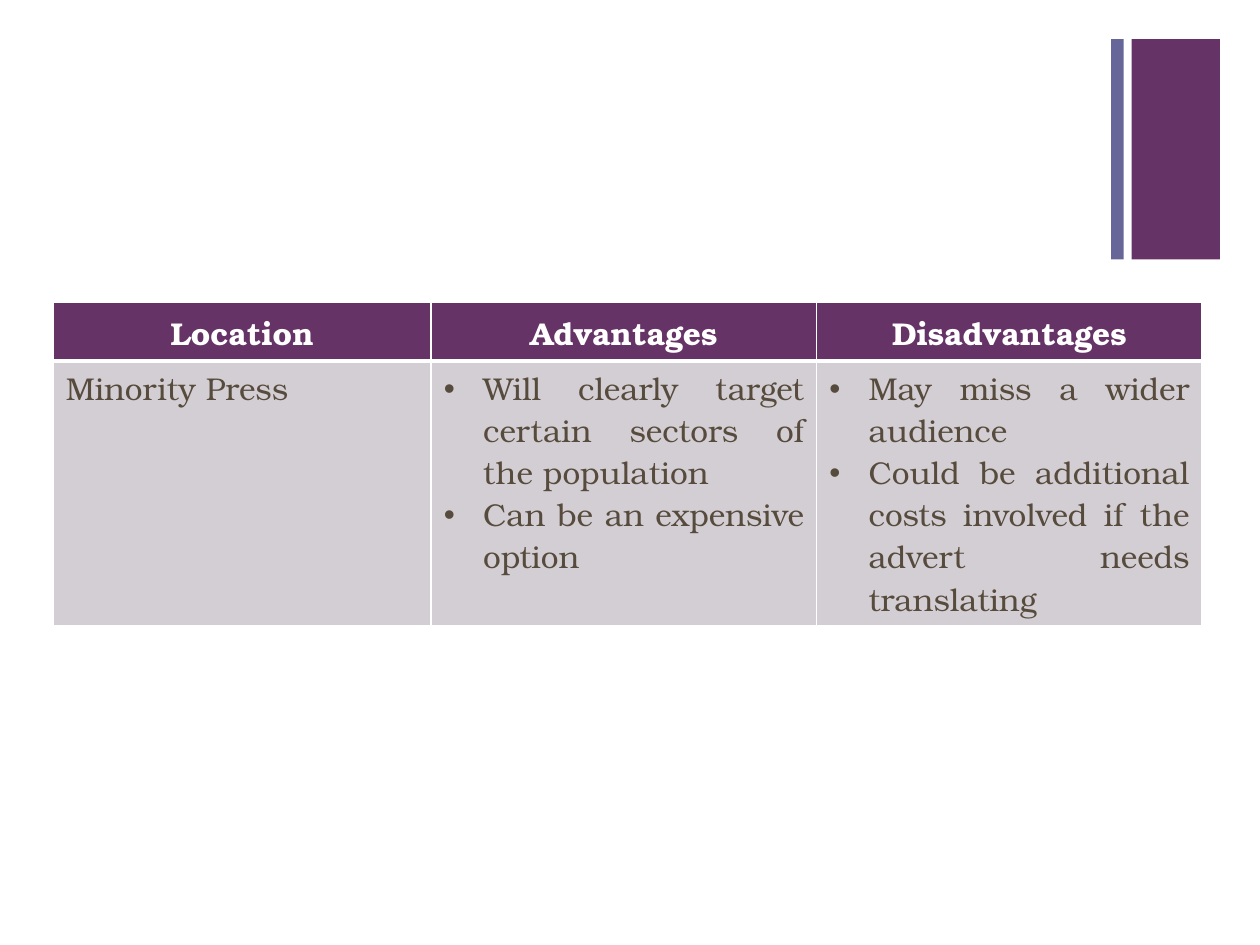
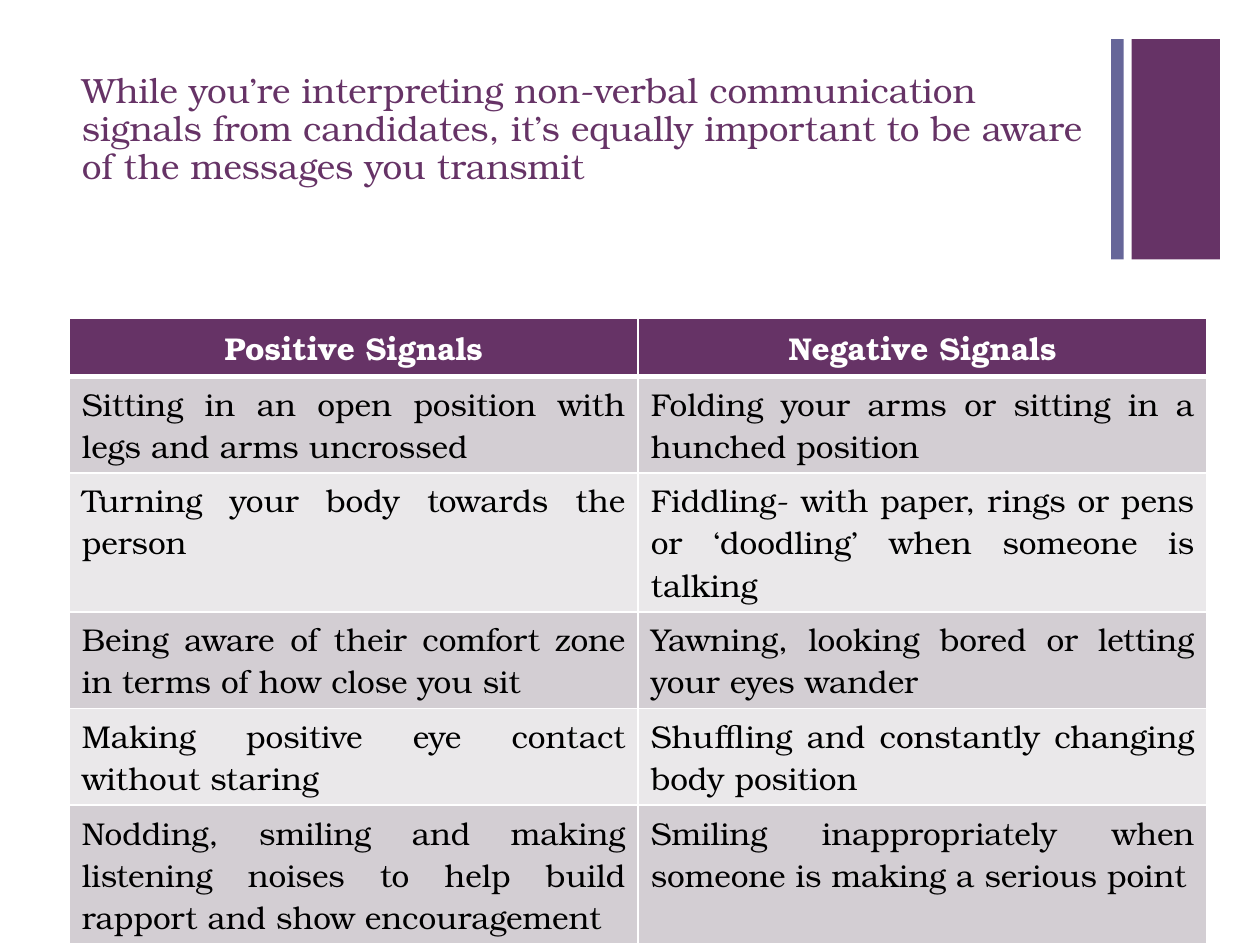
from dataclasses import dataclass

from lxml.etree import SubElement
from pptx import Presentation
from pptx.dml.color import RGBColor
from pptx.enum.shapes import MSO_SHAPE
from pptx.enum.text import MSO_ANCHOR, PP_ALIGN
from pptx.oxml.ns import qn
from pptx.util import Pt

TITLE_ONLY, BLANK = 5, 6


@dataclass(frozen=True)
class Theme:
    font: str = "TeX Gyre Bonum"
    purple: str = "663366"
    blue: str = "666699"
    white: str = "FFFFFF"
    black: str = "000000"
    brown: str = "564B3C"
    row_fills: tuple = ("D3CED3", "EAE8EA")
    title_size: int = 20
    table_size: int = 18
    row_height: float = 29.2
    bullet_indent: float = 22.5
    thin_rule: int = 1
    thick_rule: int = 3


@dataclass(frozen=True)
class Box:
    left: float
    top: float
    width: float
    height: float

    def lengths(self):
        return [Pt(value) for value in (self.left, self.top, self.width, self.height)]


THEME = Theme()
BAND_BOX = Box(634.9, 22.3, 62.2, 126)
TITLE_BOX = Box(39.6, 38.2, 594.7, 87.8)
PRESS_BOX = Box(30.4, 172.8, 656.6, 58.4)
SIGNALS_BOX = Box(39.6, 181.6, 650.2, 175.2)

PRESS_COLUMNS = (216, 220.3, 220.3)
PRESS_ROWS = [
    ("Location", "Advantages", "Disadvantages"),
    (
        "Minority Press",
        ["Will clearly target certain sectors of the population",
         "Can be an expensive option"],
        ["May miss a wider audience",
         "Could be additional costs involved if the advert needs translating"],
    ),
]

SIGNALS_TITLE = (
    "While you’re interpreting non-verbal communication signals from candidates, "
    "it’s equally important to be aware of the messages you transmit"
)
SIGNALS_ROWS = [
    ("Positive Signals", "Negative Signals"),
    ("Sitting in an open position with legs and arms uncrossed",
     "Folding your arms or sitting in a hunched position"),
    ("Turning your body towards the person",
     "Fiddling- with paper, rings or pens or ‘doodling’ when someone is talking"),
    ("Being aware of their comfort zone in terms of how close you sit",
     "Yawning, looking bored or letting your eyes wander"),
    ("Making positive eye contact without staring",
     "Shuffling and constantly changing body position"),
    ("Nodding, smiling and making listening noises to help build rapport and show encouragement",
     "Smiling inappropriately when someone is making a serious point"),
]


def style_font(font, size, color, bold=False):
    font.name = THEME.font
    font.size = Pt(size)
    font.bold = bold
    font.color.rgb = RGBColor.from_string(color)


def move_bands_to_master(deck, slide, box):
    """Draw the corner bands on a slide, then hand them to the master."""
    thick_width, thin_width = 50.4, 7.2
    bands = [
        (box.left + box.width - thick_width, thick_width, THEME.purple),
        (box.left, thin_width, THEME.blue),
    ]
    master_tree = deck.slide_master.shapes.element
    for number, (left, width, color) in enumerate(bands, start=20):
        band = slide.shapes.add_shape(
            MSO_SHAPE.RECTANGLE, *Box(left, box.top, width, box.height).lengths())
        band.shadow.inherit = False
        band.fill.solid()
        band.fill.fore_color.rgb = RGBColor.from_string(color)
        band.line.fill.background()
        band.element.nvSpPr.cNvPr.set("id", str(number))
        master_tree.append(band.element)


def add_title(slide, box, text):
    title = slide.shapes.title
    title.left, title.top, title.width, title.height = box.lengths()
    frame = title.text_frame
    frame.text = text
    frame.word_wrap = True
    frame.vertical_anchor = MSO_ANCHOR.TOP
    para = frame.paragraphs[0]
    para.alignment = PP_ALIGN.LEFT
    para.line_spacing = 0.9
    style_font(para.runs[0].font, THEME.title_size, THEME.purple)


def add_bullet(para):
    properties = para._p.get_or_add_pPr()
    indent = Pt(THEME.bullet_indent)
    properties.set("marL", str(indent))
    properties.set("indent", str(-indent))
    SubElement(properties, qn("a:buFont"), typeface="Arial")
    SubElement(properties, qn("a:buChar"), char="•")


def rule_cell(cell, bottom_width):
    properties = cell._tc.get_or_add_tcPr()
    for side in "LRTB":
        width = bottom_width if side == "B" else THEME.thin_rule
        line = SubElement(properties, qn(f"a:ln{side}"), w=str(Pt(width)))
        fill = SubElement(line, qn("a:solidFill"))
        SubElement(fill, qn("a:srgbClr"), val=THEME.white)


def fill_cell(cell, content, row_index, alignment, color):
    """Write a string as plain text, or a list as bullets."""
    header = row_index == 0
    rule_cell(cell, THEME.thick_rule if header else THEME.thin_rule)
    cell.fill.solid()
    fill = THEME.purple if header else THEME.row_fills[(row_index - 1) % 2]
    cell.fill.fore_color.rgb = RGBColor.from_string(fill)
    bulleted = isinstance(content, list)
    cell.text_frame.text = "\n".join(content) if bulleted else content
    for para in cell.text_frame.paragraphs:
        para.alignment = PP_ALIGN.CENTER if header else alignment
        if bulleted:
            add_bullet(para)
        style_font(para.runs[0].font, THEME.table_size,
                   THEME.white if header else color, bold=header)


def add_grid(slide, box, rows, column_widths, color, first_alignment=PP_ALIGN.JUSTIFY):
    table = slide.shapes.add_table(
        len(rows), len(column_widths), *box.lengths()).table
    for column, width in zip(table.columns, column_widths):
        column.width = Pt(width)
    for row_index, contents in enumerate(rows):
        table.rows[row_index].height = Pt(THEME.row_height)
        for column_index, content in enumerate(contents):
            alignment = PP_ALIGN.JUSTIFY if column_index else first_alignment
            fill_cell(table.cell(row_index, column_index), content,
                      row_index, alignment, color)


def add_press_slide(deck):
    slide = deck.slides.add_slide(deck.slide_layouts[BLANK])
    move_bands_to_master(deck, slide, BAND_BOX)
    add_grid(slide, PRESS_BOX, PRESS_ROWS, PRESS_COLUMNS, THEME.brown, PP_ALIGN.LEFT)


def add_signals_slide(deck):
    slide = deck.slides.add_slide(deck.slide_layouts[TITLE_ONLY])
    add_title(slide, TITLE_BOX, SIGNALS_TITLE)
    add_grid(slide, SIGNALS_BOX, SIGNALS_ROWS, [SIGNALS_BOX.width / 2] * 2, THEME.black)


def main():
    deck = Presentation()
    deck.slide_width, deck.slide_height = Pt(720), Pt(540)
    add_press_slide(deck)
    add_signals_slide(deck)
    deck.save("out.pptx")


if __name__ == "__main__":
    main()
